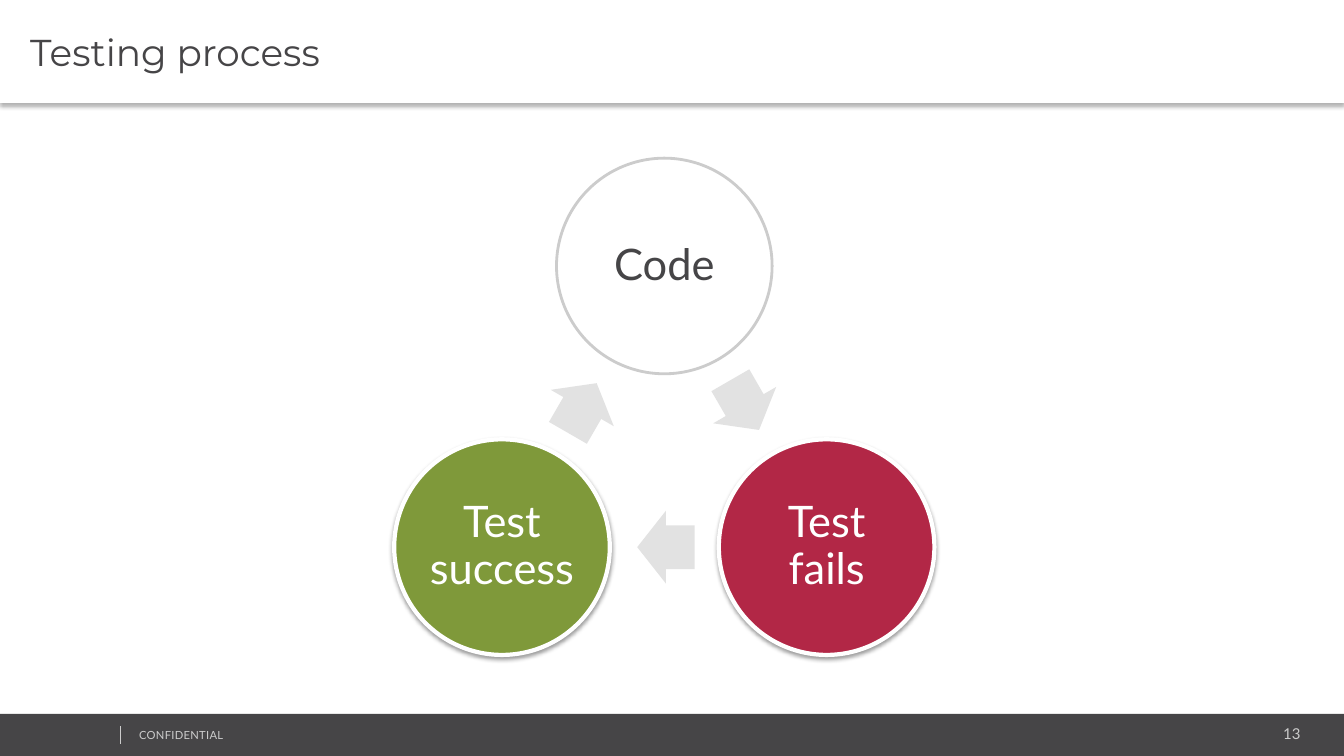
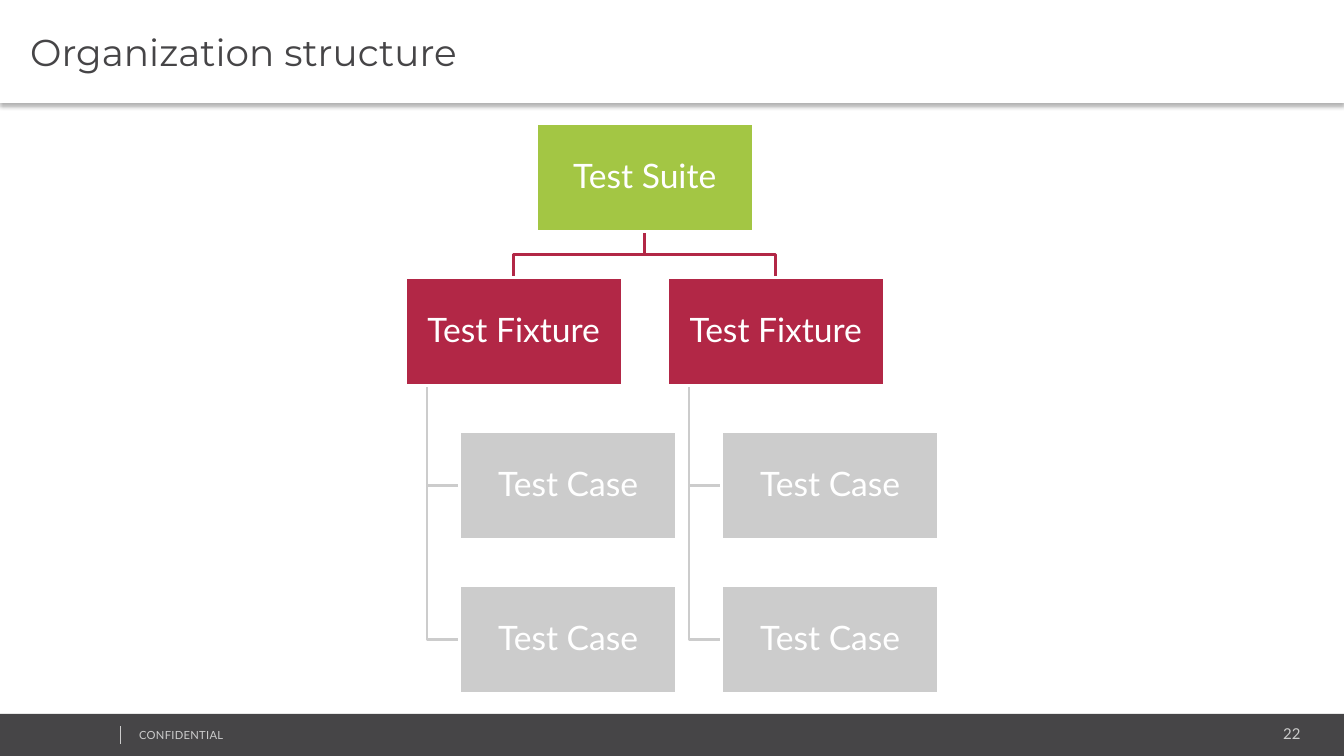
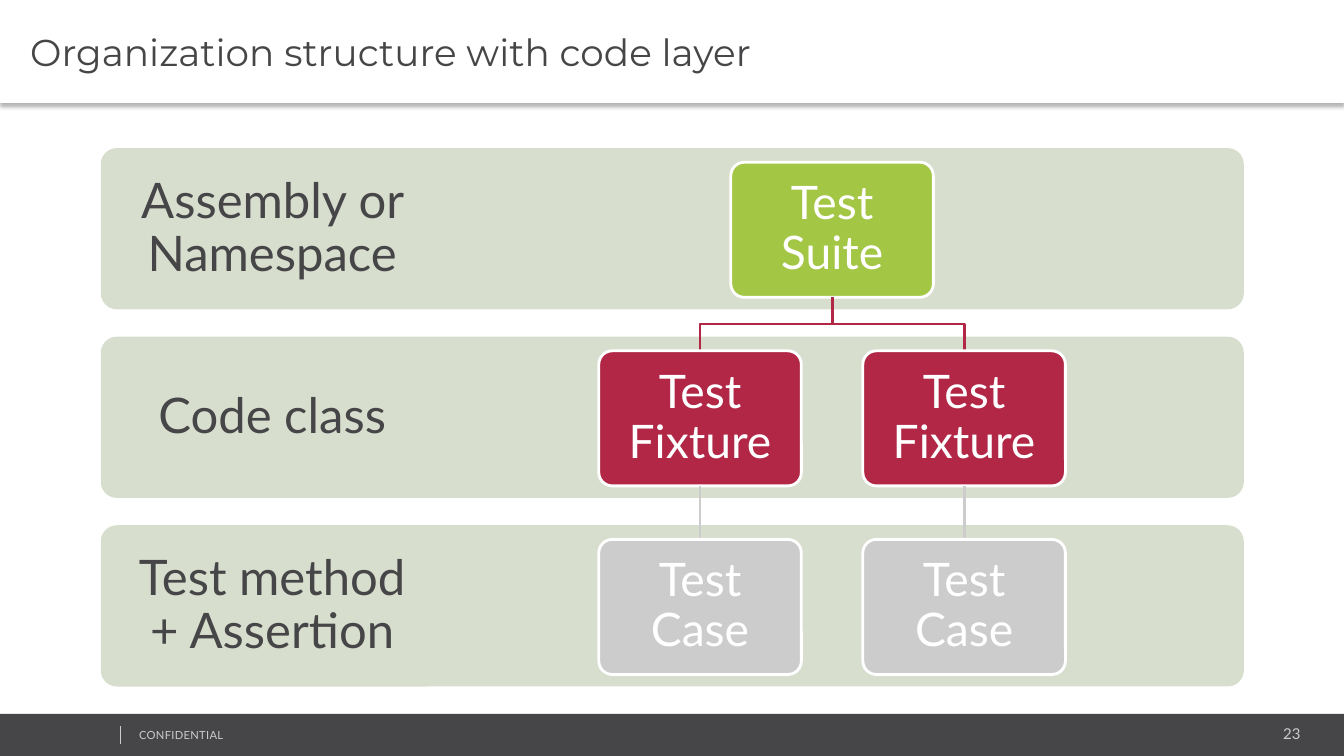
from dataclasses import dataclass
from math import cos, radians, sin

from lxml.etree import SubElement
from pptx import Presentation
from pptx.dml.color import RGBColor
from pptx.enum.shapes import MSO_CONNECTOR as Link, MSO_SHAPE as Preset
from pptx.enum.text import MSO_ANCHOR as Anchor, PP_ALIGN as Align
from pptx.oxml.ns import qn
from pptx.util import Pt

COLORS = {
    "white": "FFFFFF",
    "black": "000000",
    "charcoal": "464547",
    "silver": "CCCCCC",
    "arrow": "E2E2E2",
    "crimson": "B22746",
    "olive": "7F993A",
    "lime": "A3C644",
    "sage": "D8DECE",
}
BODY_FONT, TITLE_FONT = "Lato", "Montserrat"


@dataclass
class Box:
    """A rectangle in points."""

    left: float
    top: float
    width: float
    height: float

    @property
    def center(self):
        """Return the horizontal middle."""
        return self.left + self.width / 2

    @property
    def bottom(self):
        """Return the lower edge."""
        return self.top + self.height

    def lengths(self):
        """Return the position and size as lengths."""
        return [Pt(side) for side in (self.left, self.top, self.width, self.height)]


def centered(x, y, width, height):
    """Return a box around a center point."""
    return Box(x - width / 2, y - height / 2, width, height)


def color(name):
    """Return a named colour."""
    return RGBColor.from_string(COLORS[name])


def draw(slide, preset, box, fill, line=None, weight=2):
    """Add a flat preset shape, outlined if a line colour is given."""
    shape = slide.shapes.add_shape(preset, *box.lengths())
    shape.shadow.inherit = False
    shape.fill.solid()
    shape.fill.fore_color.rgb = color(fill)
    if line:
        shape.line.color.rgb = color(line)
        shape.line.width = Pt(weight)
    else:
        shape.line.fill.background()
    return shape


def cast_shadow(shape, opacity, distance):
    """Give a shape a soft shadow straight below it."""
    effects = shape._element.spPr.find(qn("a:effectLst"))
    shadow = SubElement(effects, qn("a:outerShdw"), blurRad=str(Pt(3.1)),
                        dist=str(Pt(distance)), dir="5400000", rotWithShape="0")
    tint = SubElement(shadow, qn("a:srgbClr"), val=COLORS["black"])
    SubElement(tint, qn("a:alpha"), val=str(opacity * 1000))


def write(shape, text, size, ink, insets, align=Align.CENTER, font=BODY_FONT,
          anchor=Anchor.MIDDLE):
    """Fill a shape with one styled paragraph and return the paragraph."""
    frame = shape.text_frame
    frame.word_wrap = True
    frame.vertical_anchor = anchor
    (frame.margin_left, frame.margin_top,
     frame.margin_right, frame.margin_bottom) = [Pt(inset) for inset in insets]
    paragraph = frame.paragraphs[0]
    paragraph.text = text
    paragraph.alignment = align
    paragraph.font.name = font
    paragraph.font.size = Pt(size)
    paragraph.font.color.rgb = color(ink)
    return paragraph


def label(shape, text, size, inset, ink="white"):
    """Write a centred diagram label with tight lines."""
    write(shape, text, size, ink, [inset] * 4).line_spacing = 0.9


def straight(slide, start, end, ink, weight=2):
    """Add a straight line between two points."""
    line = slide.shapes.add_connector(Link.STRAIGHT, *[Pt(v) for v in (*start, *end)])
    line.line.color.rgb = color(ink)
    line.line.width = Pt(weight)
    SubElement(line._element.spPr, qn("a:effectLst"))


def bent(slide, points, ink):
    """Add an open line with square bends."""
    start, *turns = [(Pt(x), Pt(y)) for x, y in points]
    builder = slide.shapes.build_freeform(*start, scale=1.0)
    builder.add_line_segments(turns, close=False)
    line = builder.convert_to_shape()
    line.shadow.inherit = False
    line.fill.background()
    line.line.color.rgb = color(ink)
    line.line.width = Pt(2)


def fork(slide, parent, child):
    """Link a parent box down to a child box, turning halfway."""
    middle = (parent.bottom + child.top) / 2
    bent(slide, [(parent.center, parent.bottom), (parent.center, middle),
                 (child.center, middle), (child.center, child.top)], "crimson")


def title_band(slide, box, title):
    """Draw the title band with its shadow."""
    band = draw(slide, Preset.RECTANGLE, box, "white")
    cast_shadow(band, 30, 2)
    heading = write(band, title, 26.7, "charcoal", (21.6, 2.9, 5, 2.9),
                    Align.LEFT, TITLE_FONT)
    heading.space_before = Pt(5.3)


def footer(slide, box, number):
    """Draw the footer band with its divider, notice and page number."""
    draw(slide, Preset.RECTANGLE, box, "charcoal")
    page = slide.shapes.add_textbox(*Box(box.left + 779, box.top + 4, 157, 20).lengths())
    write(page, str(number), 10.7, "silver", (7.2, 3.6, 7.2, 3.6), Align.RIGHT,
          anchor=Anchor.TOP)
    notice = slide.shapes.add_textbox(*Box(box.left + 92.2, box.top + 7, 243, 17).lengths())
    caption = write(notice, "CONFIDENTIAL", 8, "silver", (7.2, 3.6, 7.2, 3.6),
                    Align.LEFT, anchor=Anchor.TOP)
    caption.runs[0]._r.get_or_add_rPr().set("spc", "20")
    divider = box.left + 85.5
    straight(slide, (divider, box.top + 8.6), (divider, box.top + 21.6), "silver", 0.25)


def new_slide(deck, title, number):
    """Add a slide with the shared title band and footer."""
    slide = deck.slides.add_slide(deck.slide_layouts[6])
    footer(slide, Box(0, 510, 960, 30), number)
    title_band(slide, Box(0, 0, 960, 73.6), title)
    return slide


def cycle(slide, box, steps):
    """Draw steps as circles on a ring, joined by arrows clockwise."""
    diameter = 154
    radius = (box.height - diameter) / 1.5
    hub = box.top + diameter / 2 + radius
    turn = 360 / len(steps)
    centers = [(box.center + radius * sin(radians(turn * i)),
                hub - radius * cos(radians(turn * i))) for i in range(len(steps))]
    for i, (text, fill, ink, line, weight) in enumerate(steps):
        x, y = centers[i]
        circle = draw(slide, Preset.OVAL, centered(x, y, diameter, diameter),
                      fill, line, weight)
        if fill != "white":
            cast_shadow(circle, 38, 1.6)
        label(circle, text, 31, 2.9, ink)
        next_x, next_y = centers[(i + 1) % len(steps)]
        along = 0.495
        arrow = draw(slide, Preset.RIGHT_ARROW,
                     centered(x + (next_x - x) * along, y + (next_y - y) * along, 41, 52),
                     "arrow")
        arrow.adjustments[0], arrow.adjustments[1] = 0.6, 0.5
        arrow.rotation = turn / 2 + turn * i


def hierarchy(slide, box, suite, branches):
    """Draw a suite above its fixtures, each with indented cases below."""
    width, height = 154.8, 77
    indent = 38.9
    row = (box.height - height) / 3
    column = box.width - width - indent
    root = Box(box.left + column / 2, box.top, width, height)
    nodes = [(root, suite, "lime")]
    for i, (fixture, cases) in enumerate(branches):
        left = box.left + column * i
        parent = Box(left, box.top + row, width, height)
        fork(slide, root, parent)
        nodes.append((parent, fixture, "crimson"))
        rail = left + width / 10
        for j, case in enumerate(cases):
            child = Box(left + indent, parent.top + row * (j + 1), width, height)
            middle = child.top + height / 2
            bent(slide, [(rail, parent.bottom), (rail, middle), (child.left, middle)],
                 "silver")
            nodes.append((child, case, "silver"))
    for place, text, fill in nodes:
        label(draw(slide, Preset.RECTANGLE, place, fill, "white"), text, 24, 1.4)


def layer_bands(slide, box, layers, pitch):
    """Draw one labelled band for each layer."""
    height = box.height - pitch * (len(layers) - 1)
    for i, layer in enumerate(layers):
        top = box.top + pitch * i
        band = draw(slide, Preset.ROUNDED_RECTANGLE,
                    Box(box.left, top, box.width, height), "sage")
        band.adjustments[0] = 0.1
        name = slide.shapes.add_textbox(*Box(box.left, top, box.width * 0.3, height).lengths())
        label(name, layer, 35, 19.4, "charcoal")


def layered_tree(slide, box, suite, branches, pitch):
    """Draw a suite, its fixtures and their cases, one level per layer."""
    width, height = 144.7, 96.5
    column = box.width - width

    def node(place, text, fill):
        """Draw one rounded node."""
        card = draw(slide, Preset.ROUNDED_RECTANGLE, place, fill, "white")
        card.adjustments[0] = 0.1
        label(card, text, 33, 10.1)

    root = Box(box.left + column / 2, box.top, width, height)
    node(root, suite, "lime")
    for i, (fixture, case) in enumerate(branches):
        parent, child = [Box(box.left + column * i, box.top + pitch * level, width, height)
                         for level in (1, 2)]
        fork(slide, root, parent)
        node(parent, fixture, "crimson")
        straight(slide, (parent.center, parent.bottom), (child.center, child.top), "silver")
        node(child, case, "silver")


def main():
    """Build the three slides."""
    deck = Presentation()
    deck.slide_width, deck.slide_height = Pt(960), Pt(540)

    process = new_slide(deck, "Testing process", 13)
    cycle(process, Box(281.5, 113, 386, 354.8), [
        ("Code", "white", "charcoal", "silver", 2),
        ("Test fails", "crimson", "white", "white", 3),
        ("Test success", "olive", "white", "white", 3),
    ])

    structure = new_slide(deck, "Organization structure", 22)
    hierarchy(structure, Box(289.5, 88.5, 380.9, 406.8), "Test Suite",
              [("Test Fixture", ["Test Case"] * 2)] * 2)

    layered = new_slide(deck, "Organization structure with code layer", 23)
    pitch = 134.7
    layer_bands(layered, Box(72, 105.8, 816.5, 384.6),
                ["Assembly or Namespace", "Code class", "Test method + Assertion"], pitch)
    layered_tree(layered, Box(427.7, 115.9, 333.3, 365.9), "Test Suite",
                 [("Test Fixture", "Test Case")] * 2, pitch)

    deck.save("out.pptx")


if __name__ == "__main__":
    main()
